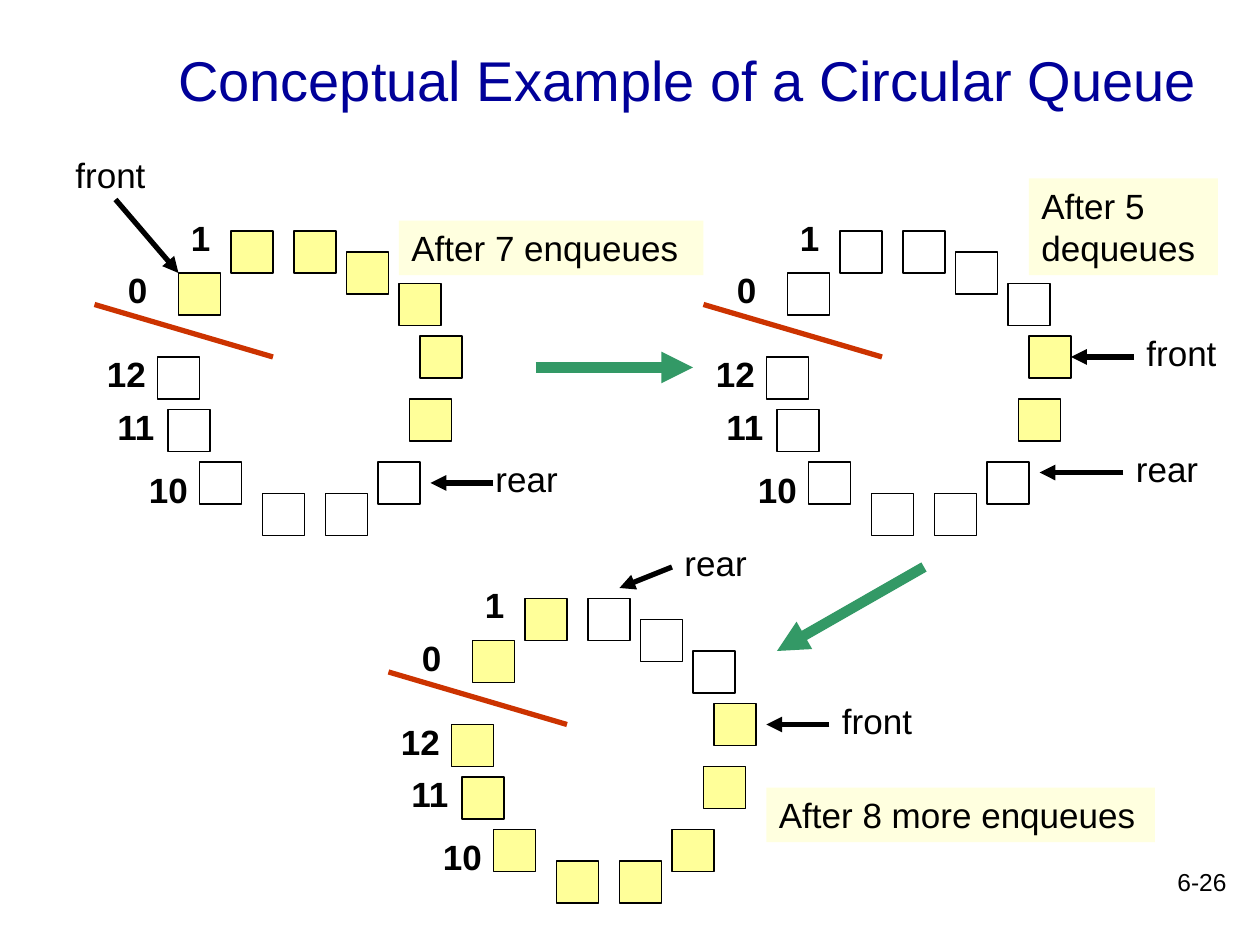
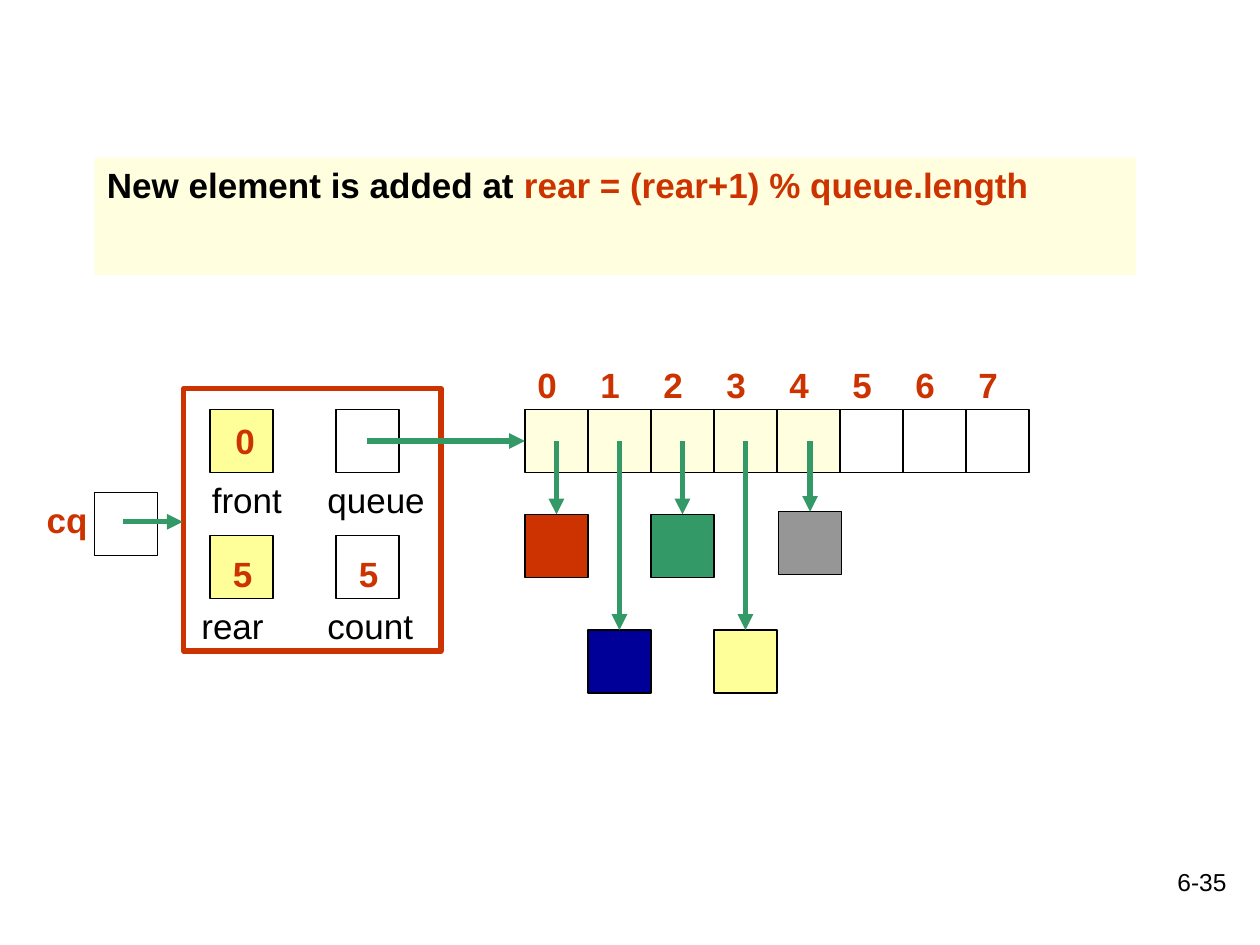
from lxml import etree
from pptx import Presentation, util as u
from pptx.dml.color import RGBColor
from pptx.enum import shapes, text
from pptx.oxml.ns import qn

COLORS = dict(ink="000000", title="000099", red="CC3300", green="339966",
              yellow="FFFF99", cream="FFFFDF", gray="969696")
FONT = "Arial"
UNITS_PER_INCH = 12     # every length below is in grid units of 1/12 inch
LABEL_HEIGHT = 5.2

# ---- Slide 1: three states of a circular queue ----
TITLE = "Conceptual Example of a Circular Queue"
RING_CELL = 4
RING_CELLS = [(8, 6), (13, 2), (19, 2), (24, 4), (29, 7), (31, 12), (30, 18),
              (27, 24), (22, 27), (16, 27), (10, 24), (7, 19), (6, 14)]
RING_LABELS = {"1": (8, 0), "0": (2, 5), "12": (0, 13), "11": (1, 18), "10": (4, 24)}
RING_SEAM = ((0, 9), (17, 14))
# origin, filled indices, caption (text, box), pointers (text, place, arrow start, arrow end)
RINGS = [
    dict(origin=(9, 20), filled=range(7),
         caption=("After 7 enqueues", (38, 21, 29, LABEL_HEIGHT)),
         pointers=[("front", (6, 14), (11, 19), (17, 26)),
                   ("rear", (46, 43), (47, 46), (41, 46))]),
    dict(origin=(67, 20), filled=(5, 6),
         caption=("After 5 dequeues", (98, 17, 18, 9.2)),
         pointers=[("front", (108, 31), (108, 34), (102, 34)),
                   ("rear", (107, 42), (107, 45), (99, 45))]),
    dict(origin=(37, 55), filled=(0, 1, *range(5, 13)),
         caption=("After 8 more enqueues", (73, 75, 37, LABEL_HEIGHT)),
         pointers=[("front", (79, 66), (79, 69), (73, 69)),
                   ("rear", (64, 51), (64, 54), (59, 56))]),
]
STEPS = [((51, 35), (66, 35)), ((88, 54), (74, 62))]

# ---- Slide 2: queue object and its array ----
RULE = [("New element is added at ", "ink"), ("rear = (rear+1) % queue.length", "red")]
BOX = 6
ARRAY_LEFT, ARRAY_TOP, ARRAY_LENGTH = 50, 39, 8
# element color, left shift, top
ELEMENTS = [("red", 0, 49), ("title", 0, 60), ("green", 0, 49),
            ("yellow", 0, 60), ("gray", 0.15, 48.75)]
FRAME = (17.5, 37, 24.5, 25)
# name, name place, box place, fill, value, value place
FIELDS = [
    ("front", (19, 45), (20, 39), "yellow", "0", (21.25, 39.4)),
    ("queue", (30, 45), (32, 39), None, None, None),
    ("rear", (18, 57), (20, 51), "yellow", "5", (21, 52)),
    ("count", (30, 57), (32, 51), None, "5", (33, 52)),
]


def grid(*values):
    return [u.Inches(value / UNITS_PER_INCH) for value in values]


def write(shape, runs, size=20, bold=False, align=text.PP_ALIGN.LEFT):
    """Put (words, color) runs into a shape as one paragraph."""
    frame = shape.text_frame
    frame.word_wrap = True
    paragraph = frame.paragraphs[0]
    paragraph.alignment = align
    font = paragraph.font
    font.name, font.size, font.bold = FONT, u.Pt(size), bold
    for words, color in runs:
        run = paragraph.add_run()
        run.text = words
        run.font.color.rgb = RGBColor.from_string(COLORS[color])


def add_label(slide, words, place, color="ink", width=10, height=LABEL_HEIGHT, **style):
    label = slide.shapes.add_textbox(*grid(*place, width, height))
    write(label, [(words, color)], **style)
    return label


def add_box(slide, area, fill=None, line="ink", weight=0.75):
    shape = slide.shapes.add_shape(shapes.MSO_SHAPE.RECTANGLE, *grid(*area))
    shape.shadow.inherit = False
    if fill:
        shape.fill.solid()
        shape.fill.fore_color.rgb = RGBColor.from_string(COLORS[fill])
    else:
        shape.fill.background()
    if line:
        shape.line.color.rgb = RGBColor.from_string(COLORS[line])
        shape.line.width = u.Pt(weight)
    else:
        shape.line.fill.background()
    return shape


def add_note(slide, area, runs, **style):
    note = add_box(slide, area, "cream", line=None)
    note.text_frame.vertical_anchor = text.MSO_ANCHOR.TOP
    write(note, runs, **style)


def add_line(slide, start, end, color, weight=3, arrow=True):
    connector = slide.shapes.add_connector(
        shapes.MSO_CONNECTOR.STRAIGHT, *grid(*start, *end))
    connector.line.color.rgb = RGBColor.from_string(COLORS[color])
    connector.line.width = u.Pt(weight)
    if arrow:
        etree.SubElement(connector.line._get_or_add_ln(), qn("a:tailEnd"), type="triangle")
    etree.SubElement(connector._element.spPr, qn("a:effectLst"))


def add_slide(presentation, number):
    slide = presentation.slides.add_slide(presentation.slide_layouts[6])
    add_label(slide, number, (93, 82), width=25, height=6,
              size=14, align=text.PP_ALIGN.RIGHT)
    return slide


def add_ring(slide, ring):
    left, top = ring["origin"]

    def shift(place):
        return left + place[0], top + place[1]

    for index, place in enumerate(RING_CELLS):
        fill = "yellow" if index in ring["filled"] else None
        add_box(slide, (*shift(place), RING_CELL, RING_CELL), fill)
    for words, place in RING_LABELS.items():
        add_label(slide, words, shift(place), width=7, bold=True)
    add_line(slide, *map(shift, RING_SEAM), "red", arrow=False)


def build_ring_slide(presentation):
    slide = add_slide(presentation, "6-26")
    title = add_label(slide, TITLE, (11, 2), "title", width=109, height=11,
                      size=32, align=text.PP_ALIGN.CENTER)
    title.text_frame.vertical_anchor = text.MSO_ANCHOR.MIDDLE
    for ring in RINGS:
        add_ring(slide, ring)
    # Captions and pointers lie above all rings
    for ring in RINGS:
        words, area = ring["caption"]
        add_note(slide, area, [(words, "ink")])
        for name, place, start, end in ring["pointers"]:
            add_label(slide, name, place)
            add_line(slide, start, end, "ink")
    for start, end in STEPS:
        add_line(slide, start, end, "green", weight=6)


def build_array_slide(presentation):
    slide = add_slide(presentation, "6-35")
    add_note(slide, (9, 15, 99.2, 11.2), RULE, bold=True)

    # Queue object with its four fields
    add_box(slide, FRAME, line="red", weight=3)
    for name, name_place, box_place, fill, value, value_place in FIELDS:
        add_box(slide, (*box_place, BOX, BOX), fill)
        add_label(slide, name, name_place, width=12)
        if value:
            add_label(slide, value, value_place, "red", width=5, bold=True)

    # Reference to the object
    add_label(slide, "cq", (3.25, 46.9), "red", bold=True)
    add_box(slide, (9, 46.9, BOX, BOX))
    add_line(slide, (11.75, 49.7), (17.4, 49.7), "green")

    # Array cells with their indices
    for index in range(ARRAY_LENGTH):
        left = ARRAY_LEFT + index * BOX
        add_box(slide, (left, ARRAY_TOP, BOX, BOX),
                "cream" if index < len(ELEMENTS) else None)
        add_label(slide, str(index), (left, 34), "red", width=5, bold=True)
    add_line(slide, (35, 42), (ARRAY_LEFT, 42), "green")

    # Stored elements
    for index, (color, nudge, top) in enumerate(ELEMENTS):
        left = ARRAY_LEFT + index * BOX + nudge
        center = left + BOX / 2
        add_box(slide, (left, top, BOX, BOX), color)
        add_line(slide, (center, ARRAY_TOP + BOX / 2), (center, top), "green")


def main():
    presentation = Presentation()
    presentation.slide_width, presentation.slide_height = grid(120, 90)
    build_ring_slide(presentation)
    build_array_slide(presentation)
    presentation.save("out.pptx")


if __name__ == "__main__":
    main()
